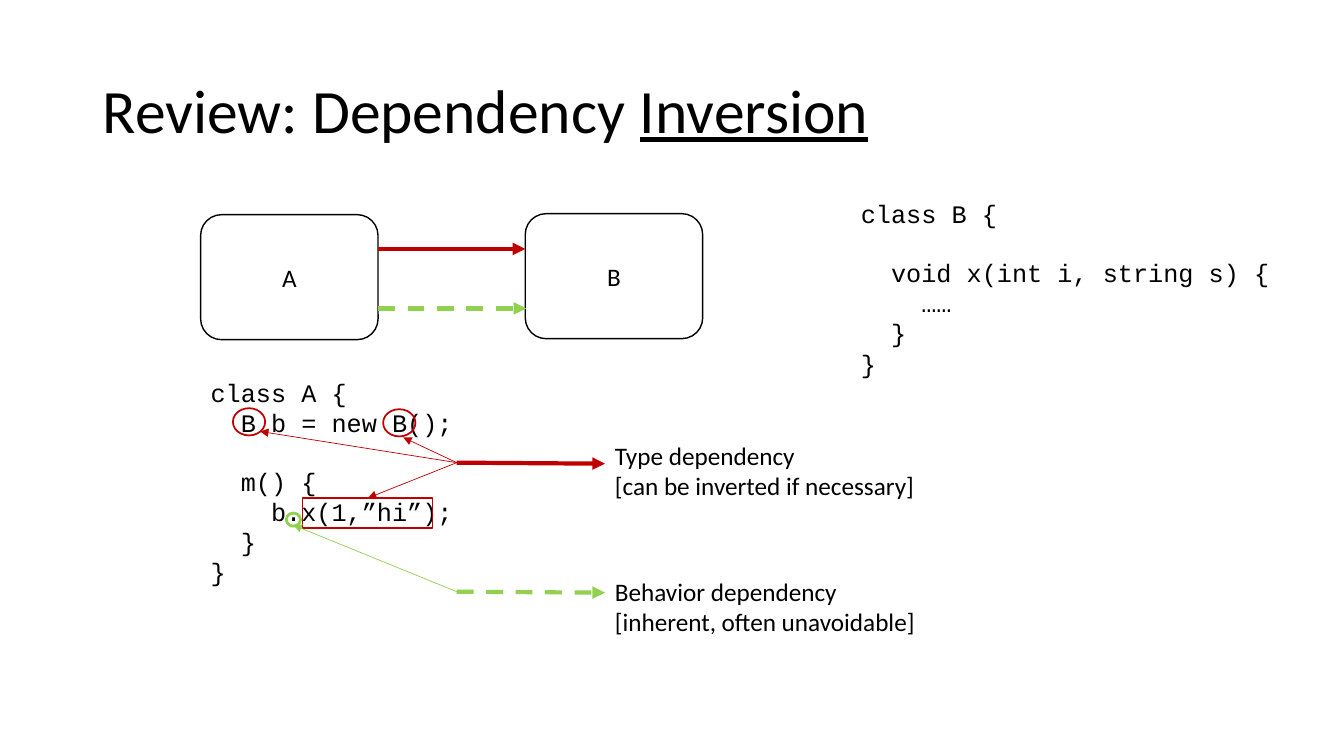
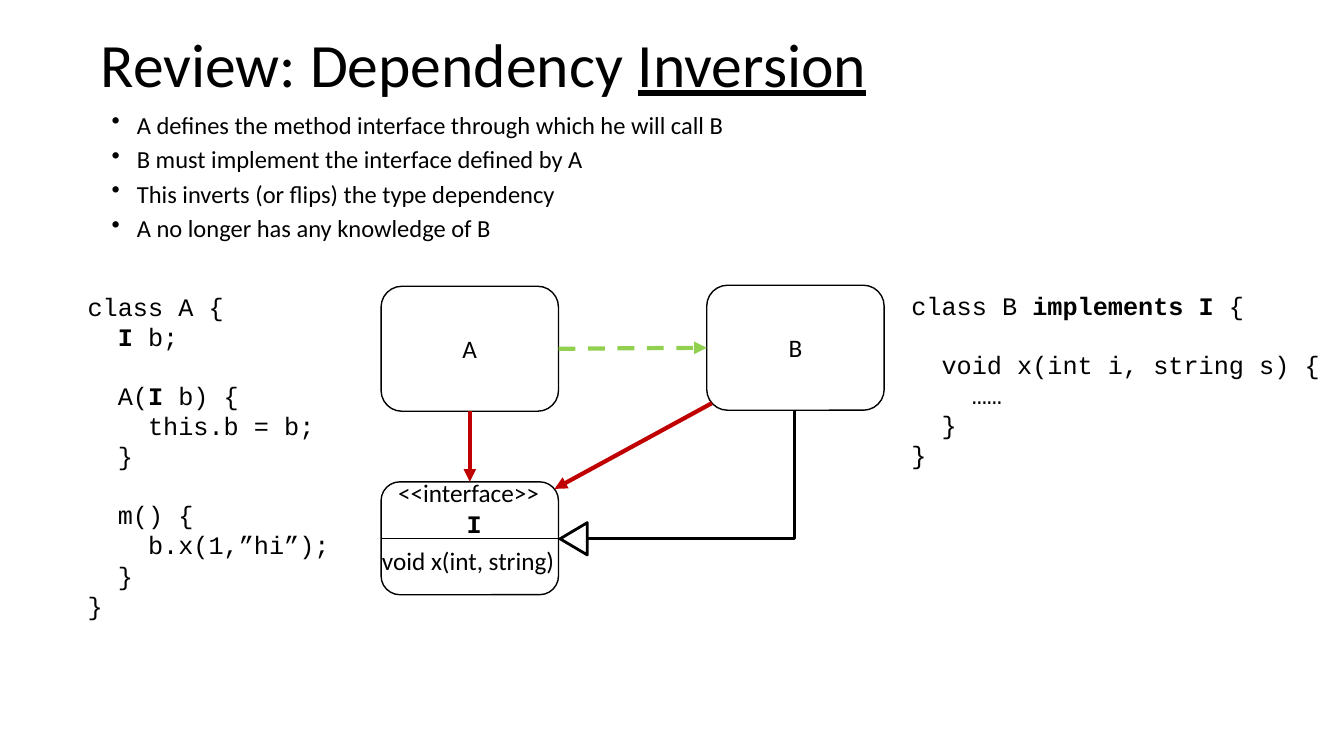
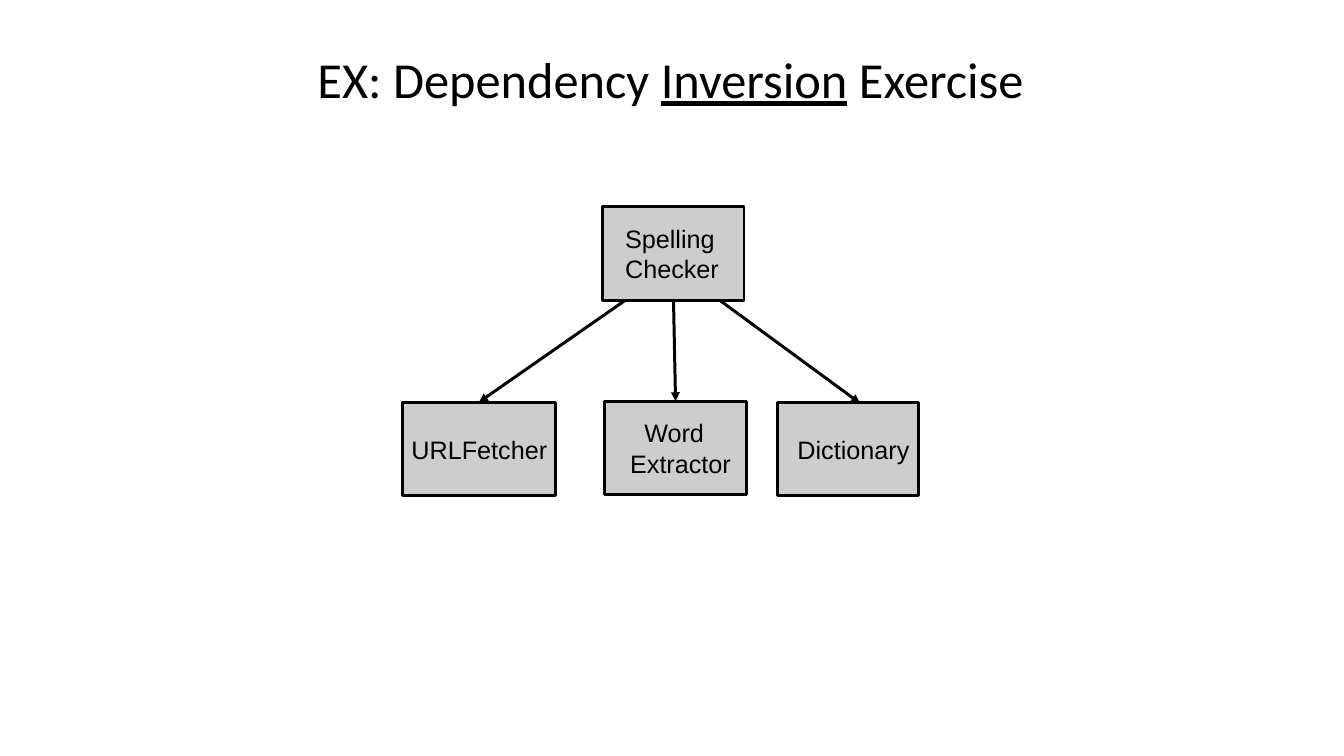
"""Build three slides reviewing dependency inversion."""
import dataclasses
import typing

import lxml.etree
import pptx
import pptx.dml.color
import pptx.enum.dml
import pptx.enum.shapes
import pptx.enum.text
import pptx.oxml.ns
import pptx.util

Inches = pptx.util.Inches
Pt = pptx.util.Pt
qn = pptx.oxml.ns.qn
SHAPES = pptx.enum.shapes.MSO_SHAPE
CONNECTORS = pptx.enum.shapes.MSO_CONNECTOR
ALIGN = pptx.enum.text.PP_ALIGN
MIDDLE = pptx.enum.text.MSO_ANCHOR.MIDDLE

COLORS = {"ink": "000000", "type": "C00000", "behavior": "92D050", "module": "CDCDCD"}
BODY_FONT, CODE_FONT, MODULE_FONT = "Calibri", "Courier New", "Arial"
CODE_CHAR = 0.15
CODE_LINE = 20.4
TOP, LEFT, BOTTOM, RIGHT = range(4)
CLASS_SIZE = (1.76, 1.24)

Point = tuple[float, float]
Box = tuple[float, float, float, float]
Joint = tuple[typing.Any, int]


@dataclasses.dataclass(frozen=True)
class Line:
    """A paragraph; *bold* and _underlined_ parts are marked in its text."""
    text: str
    indent: float = 0
    gap: float = 0
    font: str = BODY_FONT
    size: float = 18
    spacing: float | None = None
    bullet: bool = False
    align: typing.Any = None


@dataclasses.dataclass(frozen=True)
class Arrow:
    """A straight line from start to end, with a head at its end."""
    start: Point
    end: Point
    color: str
    weight: float = 3
    dashed: bool = False
    head: bool = True
    start_joint: Joint | None = None
    end_joint: Joint | None = None


@dataclasses.dataclass(frozen=True)
class Marker:
    """An outline around a piece of code."""
    kind: typing.Any
    box: Box
    color: str
    weight: float = 1.25


@dataclasses.dataclass(frozen=True)
class Module:
    """A grey box with its label, set in from the left."""
    lines: list[Line]
    box: Box
    inset: float


def rgb(name: str) -> pptx.dml.color.RGBColor:
    """Look up a colour."""
    return pptx.dml.color.RGBColor.from_string(COLORS[name])


def code_lines(source: str) -> list[Line]:
    """Turn code into lines, with indents and gaps for its white space."""
    lines, gap = [], 0.0
    for row in source.strip().splitlines():
        text = row.lstrip()
        if not text:
            gap += CODE_LINE
            continue
        lines.append(Line(text, (len(row) - len(text)) * CODE_CHAR, gap, CODE_FONT))
        gap = 0.0
    return lines


def add_runs(paragraph: typing.Any, text: str) -> None:
    """Add the runs of a marked-up text."""
    mark = "_" if "_" in text else "*"
    for index, part in enumerate(text.split(mark)):
        if part:
            run = paragraph.add_run()
            run.text = part
            if index % 2:
                run.font.underline = True if mark == "_" else None
                run.font.bold = True if mark == "*" else None


def write_lines(frame: typing.Any, lines: list[Line]) -> None:
    """Fill a text frame."""
    for index, line in enumerate(lines):
        paragraph = frame.paragraphs[0] if index == 0 else frame.add_paragraph()
        properties = paragraph._p.get_or_add_pPr()
        if line.indent:
            properties.set("marL", str(Inches(line.indent)))
        if line.bullet:
            properties.set("indent", str(-Inches(line.indent)))
            lxml.etree.SubElement(properties, qn("a:buChar")).set("char", "•")
        if line.gap:
            paragraph.space_before = Pt(line.gap)
        paragraph.line_spacing = line.spacing
        paragraph.alignment = line.align
        paragraph.font.name = line.font
        paragraph.font.size = Pt(line.size)
        paragraph.font.color.rgb = rgb("ink")
        add_runs(paragraph, line.text)


def add_text(slide: typing.Any, box: Box, lines: list[Line], wrap: bool = True,
             anchor: typing.Any = None) -> None:
    """Add a text box."""
    frame = slide.shapes.add_textbox(*map(Inches, box)).text_frame
    frame.word_wrap = wrap
    frame.vertical_anchor = anchor
    write_lines(frame, lines)


def add_title(slide: typing.Any, box: Box, text: str, size: float = 44) -> None:
    """Add a slide title."""
    add_text(slide, box, [Line(text, size=size, spacing=0.9)], anchor=MIDDLE)


def add_outline(slide: typing.Any, marker: Marker) -> typing.Any:
    """Add an unfilled shape."""
    shape = slide.shapes.add_shape(marker.kind, *map(Inches, marker.box))
    shape.shadow.inherit = False
    shape.fill.background()
    shape.line.color.rgb = rgb(marker.color)
    shape.line.width = Pt(marker.weight)
    return shape


def add_class(slide: typing.Any, name: str, left: float, top: float) -> typing.Any:
    """Add a rounded class box."""
    shape = add_outline(slide, Marker(SHAPES.ROUNDED_RECTANGLE, (left, top, *CLASS_SIZE), "ink", 1))
    shape.text_frame.vertical_anchor = MIDDLE
    write_lines(shape.text_frame, [Line(name, align=ALIGN.CENTER)])
    return shape


def add_module(slide: typing.Any, module: Module) -> typing.Any:
    """Add a grey module box."""
    shape = add_outline(slide, Marker(SHAPES.RECTANGLE, module.box, "ink", 2.13))
    shape.fill.solid()
    shape.fill.fore_color.rgb = rgb("module")
    frame = shape.text_frame
    frame.word_wrap = True
    frame.vertical_anchor = MIDDLE
    frame.margin_left = Inches(module.inset)
    frame.margin_right = frame.margin_top = frame.margin_bottom = 0
    write_lines(frame, module.lines)
    return shape


def add_line(slide: typing.Any, arrow: Arrow, kind: typing.Any = CONNECTORS.STRAIGHT) -> typing.Any:
    """Add a connector, joined to shapes where joints are given."""
    connector = slide.shapes.add_connector(kind, *map(Inches, arrow.start + arrow.end))
    if arrow.start_joint:
        connector.begin_connect(*arrow.start_joint)
    if arrow.end_joint:
        connector.end_connect(*arrow.end_joint)
    connector.line.color.rgb = rgb(arrow.color)
    connector.line.width = Pt(arrow.weight)
    if arrow.dashed:
        connector.line.dash_style = pptx.enum.dml.MSO_LINE.DASH
    properties = connector._element.spPr
    if arrow.head:
        lxml.etree.SubElement(properties.find(qn("a:ln")), qn("a:tailEnd")).set("type", "triangle")
    lxml.etree.SubElement(properties, qn("a:effectLst"))
    return connector


def build_dependencies(slide: typing.Any) -> None:
    """Show the two kinds of dependency of A on B."""
    add_text(slide, (1.99, 3.69, 2.84, 2.22), code_lines("""
class A {
  B b = new B();

  m() {
    b.x(1,”hi”);
  }
}"""))
    add_title(slide, (0.92, 0.4, 11.5, 1.45), "Review: Dependency _Inversion_")
    add_class(slide, "A", 1.99, 2.13)
    add_class(slide, "B", 5.21, 2.12)
    add_text(slide, (6, 5.67, 3.22, 0.71),
             [Line("Behavior dependency"), Line("[inherent, often unavoidable]")], wrap=False)
    add_text(slide, (6, 4.32, 3.21, 0.71),
             [Line("Type dependency"), Line("[can be inverted if necessary]")], wrap=False)
    for marker in (
        Marker(SHAPES.OVAL, (2.31, 4.05, 0.32, 0.27), "type"),
        Marker(SHAPES.OVAL, (3.8, 4.06, 0.32, 0.27), "type"),
        Marker(SHAPES.RECTANGLE, (3, 4.94, 1.29, 0.3), "type"),
        Marker(SHAPES.OVAL, (2.84, 5.09, 0.14, 0.13), "behavior", 2),
    ):
        add_outline(slide, marker)
    type_hub, behavior_hub = (4.53, 4.59), (4.53, 5.87)
    for arrow in (
        Arrow((3.75, 2.47), (5.21, 2.47), "type"),
        Arrow((3.75, 3.06), (5.22, 3.06), "behavior", dashed=True),
        Arrow(type_hub, (6, 4.6), "type"),
        Arrow(behavior_hub, (6, 5.88), "behavior", dashed=True),
        Arrow(type_hub, (2.58, 4.28), "type", 0.5),
        Arrow(type_hub, (4, 4.34), "type", 0.5),
        Arrow(type_hub, (3.65, 4.94), "type", 0.5),
        Arrow(behavior_hub, (2.91, 5.21), "behavior", 0.5),
    ):
        add_line(slide, arrow)
    add_text(slide, (8.44, 1.92, 4.73, 1.92), code_lines("""
class B {

  void x(int i, string s) {
    ……
  }
}"""))


def build_inversion(slide: typing.Any) -> None:
    """Show the type dependency inverted through an interface."""
    add_title(slide, (0.9, -0.06, 11.5, 1.45), "Review: Dependency _Inversion_")
    add_text(slide, (1.01, 1.12, 7.14, 1.39), [
        Line(point, indent=0.25, gap=10, size=17.5, spacing=0.7, bullet=True)
        for point in (
            "A defines the method interface through which he will call B",
            "B must implement the interface defined by A",
            "This inverts (or flips) the type dependency",
            "A no longer has any knowledge of B",
        )
    ])
    add_text(slide, (0.77, 2.84, 2.84, 3.43), code_lines("""
class A {
  *I* b;

  A(*I* b) {
    this.b = b;
  }

  m() {
    b.x(1,”hi”);
  }
}"""))
    caller = add_class(slide, "A", 3.78, 2.84)
    callee = add_class(slide, "B", 7.01, 2.83)
    interface = add_outline(slide, Marker(SHAPES.ROUNDED_RECTANGLE, (3.78, 4.78, 1.76, 1.12), "ink", 1))
    add_text(slide, (3.85, 4.69, 1.62, 0.71),
             [Line("<<interface>>"), Line("*I*", indent=0.68, font=CODE_FONT)], wrap=False)
    add_text(slide, (3.69, 5.36, 1.93, 0.37), [Line("void x(int, string)")], wrap=False)
    for arrow in (
        Arrow((5.54, 3.46), (7.01, 3.45), "behavior", dashed=True,
              start_joint=(caller, RIGHT), end_joint=(callee, LEFT)),
        Arrow((4.66, 4.08), (4.66, 4.78), "type",
              start_joint=(caller, BOTTOM), end_joint=(interface, TOP)),
        Arrow((7.06, 4), (5.5, 4.85), "type"),
        Arrow((3.78, 5.34), (5.54, 5.34), "ink", 0.5, head=False),
    ):
        add_line(slide, arrow)
    add_outline(slide, Marker(SHAPES.ISOSCELES_TRIANGLE, (5.53, 5.21, 0.32, 0.27), "ink", 2)).rotation = 270
    implements = add_line(slide, Arrow((5.83, 5.34), (7.88, 4.07), "ink", 2, head=False), CONNECTORS.ELBOW)
    implements._element.spPr.find(qn("a:prstGeom")).set("prst", "bentConnector2")
    add_text(slide, (8.94, 2.83, 4.44, 1.92), code_lines("""
class B *implements I* {

  void x(int i, string s) {
    ……
  }
}"""))


def build_exercise(slide: typing.Any) -> None:
    """Show the modules of the exercise."""
    add_title(slide, (3.05, 0.19, 8.5, 1.25), "EX: Dependency _Inversion_ Exercise", 36)
    extractor, fetcher, dictionary, checker = (add_module(slide, module) for module in (
        Module([Line("Word", indent=0.14, font=MODULE_FONT), Line("Extractor", font=MODULE_FONT)],
               (6, 3.98, 1.4, 0.93), 0.25),
        Module([Line("URLFetcher", font=MODULE_FONT)], (3.99, 3.99, 1.52, 0.93), 0.09),
        Module([Line("Dictionary", font=MODULE_FONT)], (7.71, 3.99, 1.4, 0.93), 0.2),
        Module([Line("Spelling", font=MODULE_FONT), Line("Checker", font=MODULE_FONT)],
               (5.98, 2.05, 1.4, 0.93), 0.22),
    ))
    for arrow in (
        Arrow((6.2, 2.98), (4.75, 3.99), "ink", 2.13, end_joint=(fetcher, TOP)),
        Arrow((6.68, 2.98), (6.7, 3.98), "ink", 2.13,
              start_joint=(checker, BOTTOM), end_joint=(extractor, TOP)),
        Arrow((7.14, 2.98), (8.53, 4), "ink", 2.13),
    ):
        add_line(slide, arrow)


def main() -> None:
    """Build and save the presentation."""
    deck = pptx.Presentation()
    deck.slide_width, deck.slide_height = Inches(13.33), Inches(7.5)
    for build in (build_dependencies, build_inversion, build_exercise):
        build(deck.slides.add_slide(deck.slide_layouts[6]))
    deck.save("out.pptx")


if __name__ == "__main__":
    main()
